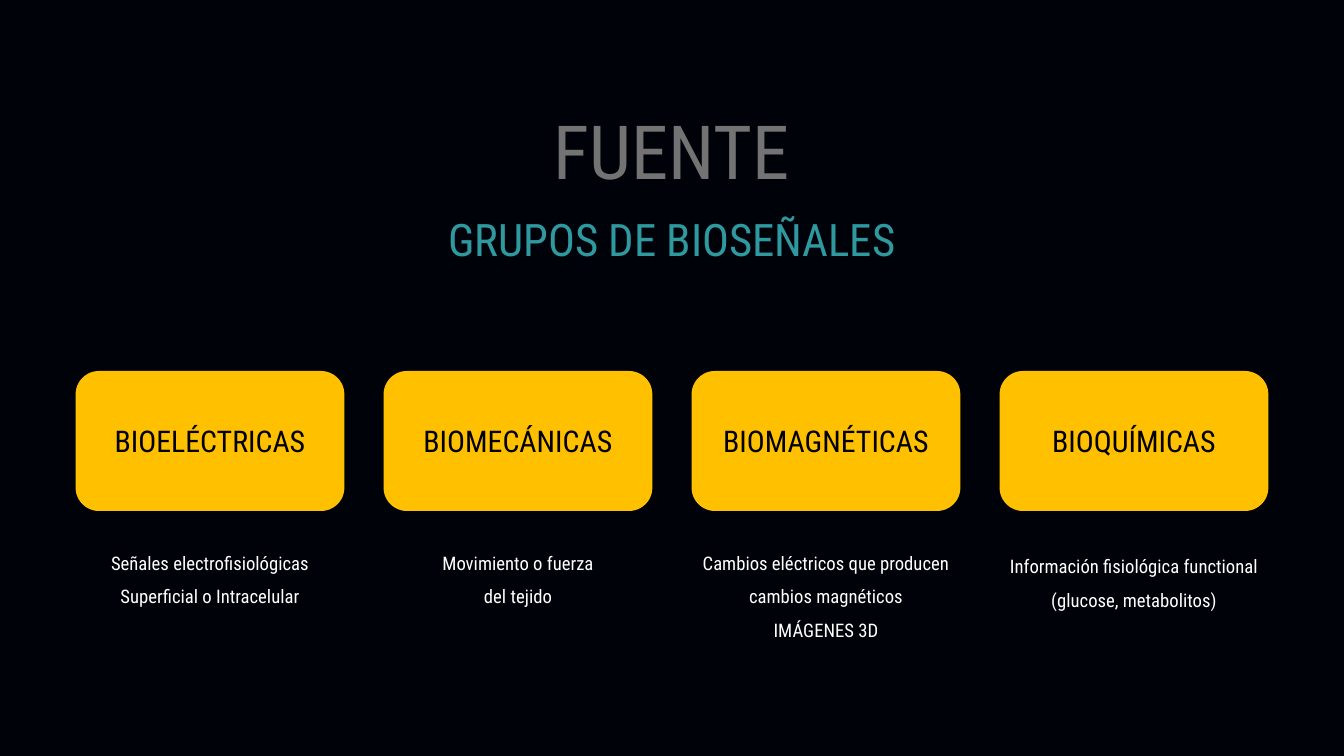
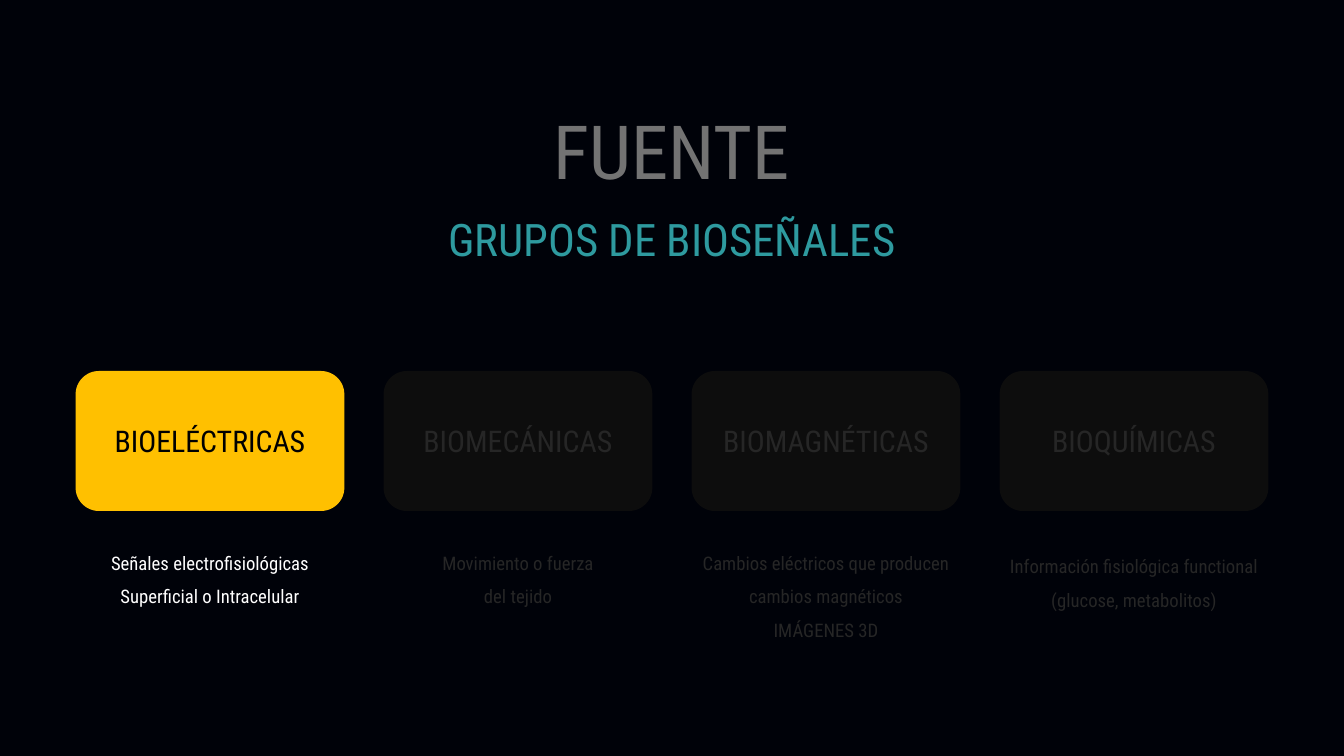
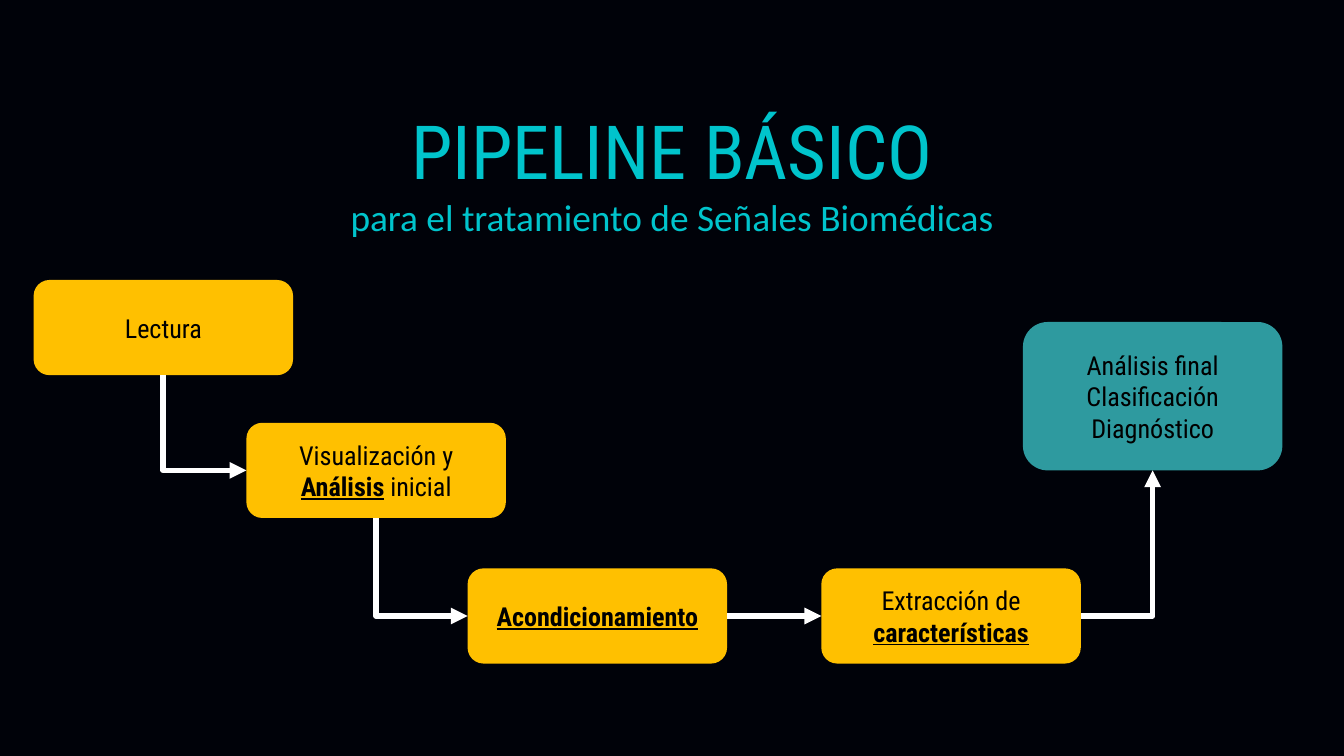
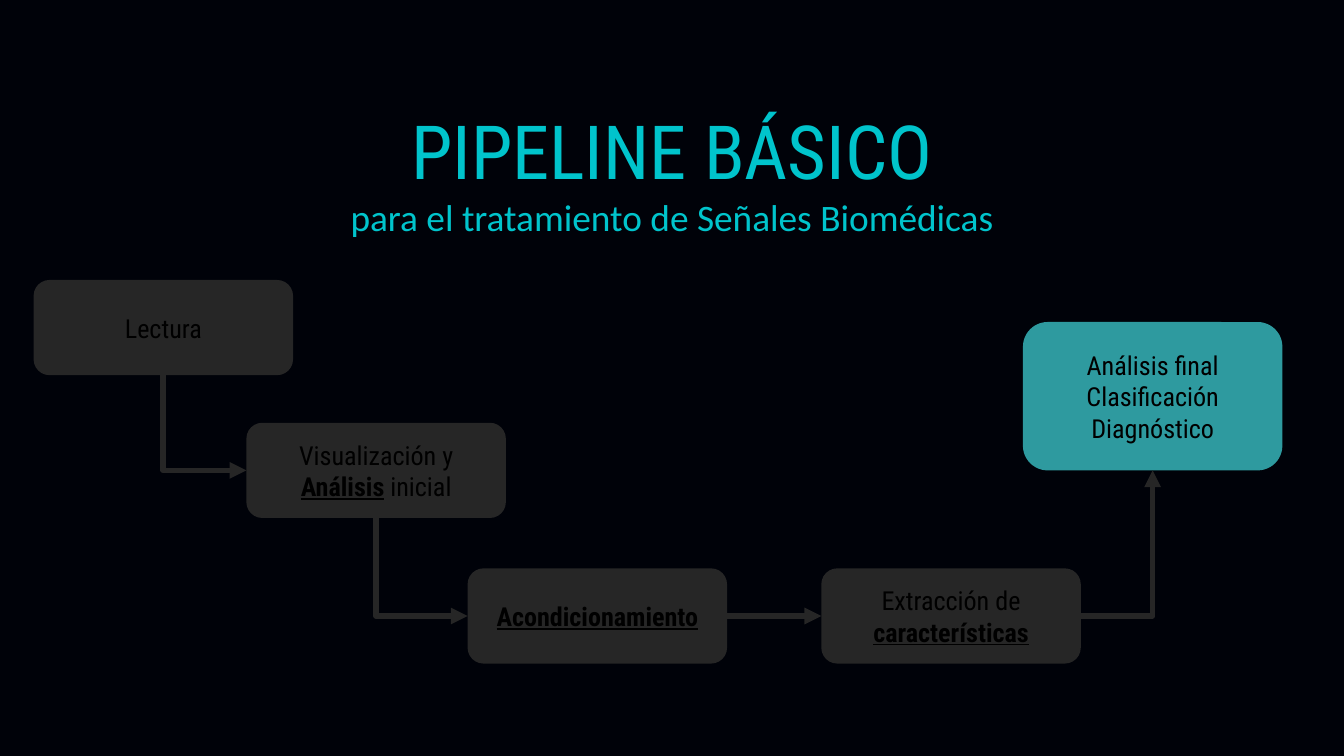
from dataclasses import dataclass

from lxml.etree import SubElement
from pptx import Presentation
from pptx.dml.color import RGBColor
from pptx.enum.shapes import MSO_CONNECTOR, MSO_SHAPE
from pptx.enum.text import MSO_ANCHOR, MSO_AUTO_SIZE, PP_ALIGN
from pptx.oxml.ns import qn
from pptx.util import Pt


@dataclass(frozen=True)
class Theme:
    background: str = "000209"
    accent: str = "FFC000"
    teal: str = "2E9A9F"
    cyan: str = "00C4CC"
    gray: str = "737373"
    light: str = "FFFFFF"
    dark: str = "000000"
    dim: str = "262626"
    dim_card: str = "0D0D0D"
    font: str = "Roboto Condensed"
    subtitle_font: str = "Calibri"
    title_size: int = 80
    group_size: int = 48
    subtitle_size: int = 40
    card_size: int = 32
    stage_size: int = 28
    caption_size: int = 20
    arrow_width: int = 6
    title_spacing: int = 96


THEME = Theme()

TITLE_LEFT, TITLE_TOP, TITLE_WIDTH = 165, 112.5, 1110
CARD_LEFT, CARD_TOP, CARD_PITCH = 81, 397.5, 330
CARD_WIDTH, CARD_HEIGHT = 288, 150
STAGE_WIDTH, STAGE_HEIGHT = 278, 102
TOP, LEFT, BOTTOM, RIGHT = range(4)

GROUPS = [
    ("BIOELÉCTRICAS", ["Señales electrofisiológicas", "Superficial o Intracelular"], 579),
    ("BIOMECÁNICAS", ["Movimiento o fuerza", "del tejido"], 579),
    ("BIOMAGNÉTICAS", ["Cambios eléctricos que producen cambios magnéticos", "IMÁGENES 3D"], 579),
    ("BIOQUÍMICAS", ["Información fisiológica functional", "(glucose, metabolitos)"], 582.5),
]

STAGES = [
    (36, 300, [("Lectura", False)]),
    (264, 453, [("Visualización y ", False), ("Análisis", True), (" inicial", False)]),
    (501, 609, [("Acondicionamiento", True)]),
    (880, 609, [("Extracción de ", False), ("características", True)]),
]


def format_paragraph(paragraph, size, color, font=THEME.font, spacing=None):
    paragraph.alignment = PP_ALIGN.CENTER
    if spacing is not None:
        paragraph.line_spacing = spacing
    for run in paragraph.runs:
        run.font.name = font
        run.font.size = Pt(size)
        run.font.color.rgb = RGBColor.from_string(color)


def add_slide(presentation):
    slide = presentation.slides.add_slide(presentation.slide_layouts[6])
    fill = slide.background.fill
    fill.solid()
    fill.fore_color.rgb = RGBColor.from_string(THEME.background)
    return slide


def add_text(slide, left, top, width, height, lines, size, color, spacing):
    text_box = slide.shapes.add_textbox(Pt(left), Pt(top), Pt(width), Pt(height))
    text_frame = text_box.text_frame
    text_frame.word_wrap = True
    text_frame.auto_size = MSO_AUTO_SIZE.SHAPE_TO_FIT_TEXT
    text_frame.margin_left = text_frame.margin_right = 0
    text_frame.margin_top = text_frame.margin_bottom = 0
    text_frame.text = "\n".join(lines)
    for paragraph in text_frame.paragraphs:
        format_paragraph(paragraph, size, color, spacing=spacing)
    return text_frame


def add_title(slide, text, color, height):
    return add_text(slide, TITLE_LEFT, TITLE_TOP, TITLE_WIDTH, height, [text],
                    THEME.title_size, color, Pt(THEME.title_spacing))


def add_box(slide, left, top, width, height, fill, paragraphs, size, color):
    shape = slide.shapes.add_shape(
        MSO_SHAPE.ROUNDED_RECTANGLE, Pt(left), Pt(top), Pt(width), Pt(height))
    shape.shadow.inherit = False
    shape.fill.solid()
    shape.fill.fore_color.rgb = RGBColor.from_string(fill)
    shape.line.fill.background()
    text_frame = shape.text_frame
    text_frame.word_wrap = True
    text_frame.vertical_anchor = MSO_ANCHOR.MIDDLE
    for index, segments in enumerate(paragraphs):
        paragraph = text_frame.add_paragraph() if index else text_frame.paragraphs[0]
        for text, emphasized in segments:
            run = paragraph.add_run()
            run.text = text
            if emphasized:
                run.font.bold = run.font.underline = True
        format_paragraph(paragraph, size, color)
    return shape


def add_arrow(slide, start, start_side, end, end_side, color):
    straight = start_side == RIGHT and end_side == LEFT
    kind = MSO_CONNECTOR.STRAIGHT if straight else MSO_CONNECTOR.ELBOW
    connector = slide.shapes.add_connector(kind, 0, 0, 0, 0)
    connector.begin_connect(start, start_side)
    connector.end_connect(end, end_side)
    connector.line.color.rgb = RGBColor.from_string(color)
    connector.line.width = Pt(THEME.arrow_width)
    properties = connector._element.spPr
    SubElement(connector.line._get_or_add_ln(), qn("a:tailEnd"), type="triangle")
    SubElement(properties, qn("a:effectLst"))
    if not straight:
        properties.find(qn("a:prstGeom")).set("prst", "bentConnector2")
    if start_side == BOTTOM:
        turn_down_first(connector)


def turn_down_first(connector):
    across, down = connector.width, connector.height
    connector.left += (across - down) // 2
    connector.top += (down - across) // 2
    connector.width, connector.height = down, across
    transform = connector._element.spPr.find(qn("a:xfrm"))
    transform.set("rot", str(270 * 60000))
    transform.set("flipH", "1")


def add_groups_slide(presentation, highlighted):
    slide = add_slide(presentation)
    add_title(slide, "FUENTE", THEME.gray, 114)
    add_text(slide, TITLE_LEFT, 188.5, TITLE_WIDTH, 87, ["GRUPOS DE BIOSEÑALES"],
             THEME.group_size, THEME.teal, Pt(THEME.title_spacing))
    for index, (name, caption, caption_top) in enumerate(GROUPS):
        left = CARD_LEFT + index * CARD_PITCH
        active = index in highlighted
        add_box(slide, left, CARD_TOP, CARD_WIDTH, CARD_HEIGHT,
                THEME.accent if active else THEME.dim_card, [[(name, False)]],
                THEME.card_size, THEME.dark if active else THEME.dim)
        add_text(slide, left, caption_top, CARD_WIDTH, 72, caption,
                 THEME.caption_size, THEME.light if active else THEME.dim, 1.5)


def add_pipeline_slide(presentation, stage_color, arrow_color):
    slide = add_slide(presentation)
    title_frame = add_title(slide, "PIPELINE BÁSICO", THEME.cyan, 145.5)
    subtitle = title_frame.add_paragraph()
    subtitle.text = "para el tratamiento de Señales Biomédicas"
    format_paragraph(subtitle, THEME.subtitle_size, THEME.cyan, THEME.subtitle_font)

    reading, viewing, conditioning, extraction = [
        add_box(slide, left, top, STAGE_WIDTH, STAGE_HEIGHT, stage_color, [segments],
                THEME.stage_size, THEME.dark)
        for left, top, segments in STAGES
    ]
    diagnosis = add_box(
        slide, 1096, 345, STAGE_WIDTH, 159, THEME.teal,
        [[("Análisis final", False)], [("Clasificación Diagnóstico", False)]],
        THEME.stage_size, THEME.dark)

    add_arrow(slide, reading, BOTTOM, viewing, LEFT, arrow_color)
    add_arrow(slide, viewing, BOTTOM, conditioning, LEFT, arrow_color)
    add_arrow(slide, conditioning, RIGHT, extraction, LEFT, arrow_color)
    add_arrow(slide, extraction, RIGHT, diagnosis, BOTTOM, arrow_color)


def main():
    presentation = Presentation()
    presentation.slide_width = Pt(1440)
    presentation.slide_height = Pt(810)
    add_groups_slide(presentation, highlighted=range(len(GROUPS)))
    add_groups_slide(presentation, highlighted=[0])
    add_pipeline_slide(presentation, THEME.accent, THEME.light)
    add_pipeline_slide(presentation, THEME.dim, THEME.dim)
    presentation.save("out.pptx")


if __name__ == "__main__":
    main()
